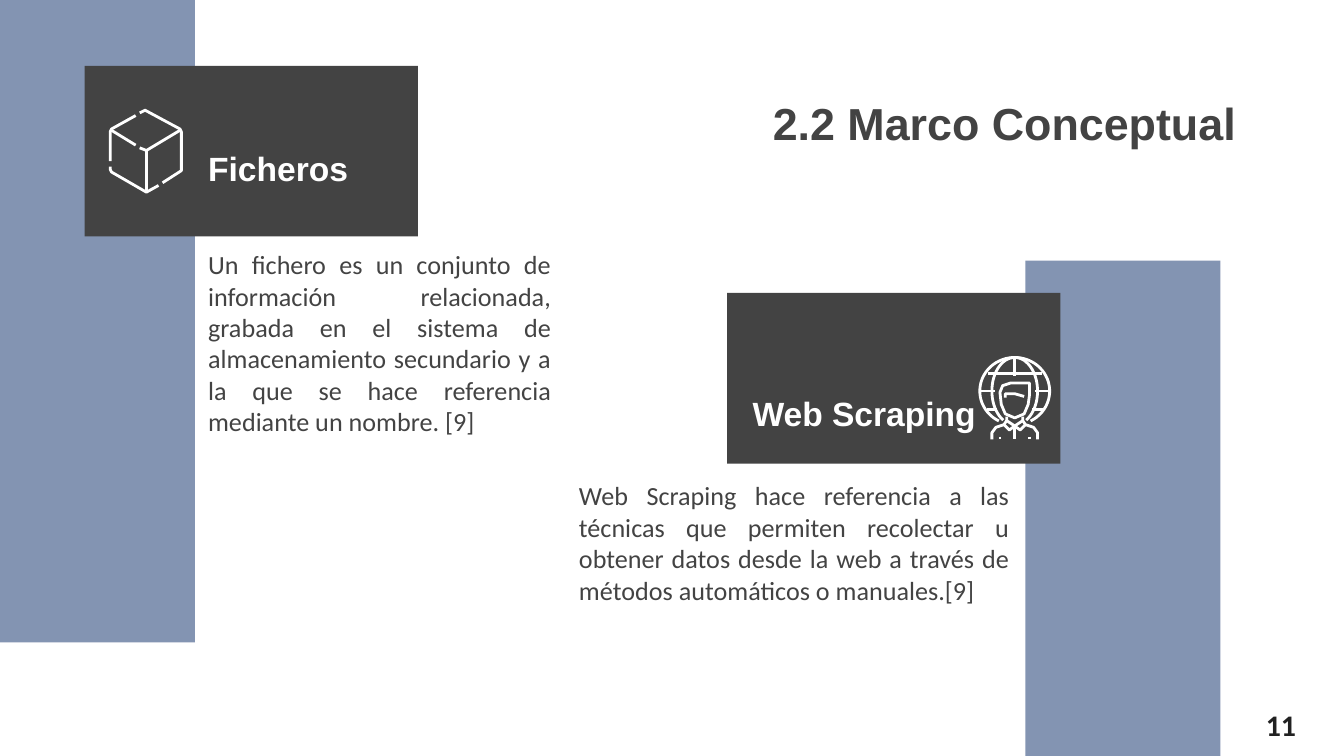
"""Build the "Marco Conceptual" slide with its two concept cards."""
import math
import pptx
import pptx.util
import pptx.dml.color
import pptx.enum.shapes
import pptx.enum.text
import pptx.oxml

Inch = pptx.util.Inches
Align = pptx.enum.text.PP_ALIGN
Anchor = pptx.enum.text.MSO_ANCHOR

THEME = {
    "bar": "556D96", "dark": "434343", "white": "FFFFFF", "page": "212121",
    "alpha": 73, "line": 1.5, "inset": 0.1,
    "title": {"name": "Arial", "size": 24, "bold": True},
    "head": {"name": "Arial", "size": 18, "bold": True},
    "body": {"name": "Calibri", "size": 14, "bold": False},
    "num": {"name": "Calibri", "size": 16, "bold": True},
}

WIDE = 10
TITLE = ("2.2 Marco Conceptual", (5.65, 0.65, 4.1, 0.53), "title", "dark", Align.LEFT, Anchor.MIDDLE)
BARS = [(7.63, 1.94, 1.45, 3.75), (0, 0, 1.45, 4.78)]
CARDS = [(5.41, 2.18, 2.48, 1.27), (0.63, 0.49, 2.48, 1.27)]
TEXTS = [
    ("Un fichero es un conjunto de información relacionada, grabada en el sistema de "
     "almacenamiento secundario y a la que se hace referencia mediante un nombre. [9]",
     (1.45, 1.75, 2.75, 1.22), "body", "dark", Align.JUSTIFY, Anchor.TOP),
    ("Web Scraping hace referencia a las técnicas que permiten recolectar u obtener "
     "datos desde la web a través de métodos automáticos o manuales.[9]",
     (4.21, 3.47, 3.4, 1.22), "body", "dark", Align.JUSTIFY, Anchor.TOP),
    ("Web Scraping", (5.34, 2.17, 2.02, 1.15), "head", "white", Align.RIGHT, Anchor.BOTTOM),
    ("Ficheros", (1.45, 1.08, 1.58, 0.42), "head", "white", Align.LEFT, Anchor.BOTTOM),
    ("11", (9.32, 5.16, 0.68, 0.31), "num", "page", Align.JUSTIFY, Anchor.TOP),
]

CUBE = [
    [(1.04, 0.84), (1.08, 0.82), (1.34, 0.96), (1.35, 0.98), (1.35, 1.27), (1.21, 1.36)],
    [(1.18, 1.38), (1.09, 1.43), (0.83, 1.28), (0.82, 1.26), (0.82, 1.24)],
    [(0.82, 1.2), (0.82, 0.98), (0.83, 0.96), (1.01, 0.86)],
    [(0.83, 0.97), (1.01, 1.08)],
    [(1.04, 1.1), (1.09, 1.12), (1.34, 0.97)],
    [(1.09, 1.12), (1.09, 1.42)],
]
MID = 7.55
GLOBE = [
    [(MID, 2.66), (MID, 2.8)],
    [(7.35, 2.78), (7.75, 2.78)],
    [(MID, 3.18), (MID, 3.27)],
    [(7.48, 2.96), (7.48, 2.93), (7.55, 2.93), (7.62, 2.95)],
    [(7.55, 3.11), (7.48, 3.08), (7.45, 3.01), (7.44, 2.92), (7.46, 2.87),
     (7.52, 2.85), (7.66, 2.85), (7.66, 2.94), (7.65, 3.01), (7.62, 3.08), (7.55, 3.11)],
]
HALF = [
    [(7.3, 2.91), (7.4, 2.91)],
    [(7.34, 3.05), (7.42, 3.05)],
    [(7.38, 3.27), (7.38, 3.22), (7.41, 3.18), (7.47, 3.16), (7.49, 3.13), (7.49, 3.1)],
    [(7.47, 3.16), (7.51, 3.2), (7.55, 3.17), (7.49, 3.13)],
    [(7.44, 3.25), (7.44, 3.27)],
]


def tint(name):
    return pptx.dml.color.RGBColor.from_string(THEME[name])


def apply(thing, vals):
    for key, val in vals.items():
        setattr(thing, key, val)


def place(shape, box):
    apply(shape, dict(zip(("left", "top", "width", "height"), map(Inch, box))))


def write(shape, item):
    text, box, font, color, align, anchor = item
    place(shape, box)
    frame = shape.text_frame
    sides = ("margin_left", "margin_top", "margin_right", "margin_bottom")
    apply(frame, {**dict.fromkeys(sides, Inch(THEME["inset"])), "text": text, "word_wrap": True,
                  "auto_size": pptx.enum.text.MSO_AUTO_SIZE.NONE, "vertical_anchor": anchor})
    para = frame.paragraphs[0]
    para.alignment = align
    run = para.runs[0]
    apply(run.font, {**THEME[font], "size": pptx.util.Pt(THEME[font]["size"])})
    run.font.color.rgb = tint(color)


def block(slide, box, color, alpha=None):
    kind = pptx.enum.shapes.MSO_SHAPE.RECTANGLE
    shape = slide.shapes.add_shape(kind, *map(Inch, box))
    shape.shadow.inherit = False
    shape.line.fill.background()
    shape.fill.solid()
    shape.fill.fore_color.rgb = tint(color)
    if alpha:
        node = shape.fill._xPr.find(".//" + pptx.oxml.ns.qn("a:srgbClr"))
        node.append(pptx.oxml.parse_xml(
            f'<a:alpha {pptx.oxml.ns.nsdecls("a")} val="{alpha * 1000}"/>'))


def arc(wide, high, start, end):
    turns = [math.radians(deg) for deg in range(start, end + 1, 6)]
    return [(MID + wide * math.cos(t), 2.91 + high * math.sin(t)) for t in turns]


def flip(stroke):
    return [(2 * MID - x, y) for x, y in stroke]


def icon(slide, strokes):
    paths = [[(Inch(x), Inch(y)) for x, y in stroke] for stroke in strokes]
    pen = slide.shapes.build_freeform(*paths[0][0])
    for step, path in enumerate(paths):
        if step:
            pen.move_to(*path[0])
        pen.add_line_segments(path[1:], close=False)
    shape = pen.convert_to_shape()
    shape.shadow.inherit = False
    shape.fill.background()
    shape.line.color.rgb = tint("white")
    shape.line.width = pptx.util.Pt(THEME["line"])


def main():
    deck = pptx.Presentation()
    apply(deck, {"slide_width": Inch(WIDE), "slide_height": Inch(WIDE * 9 / 16)})
    slide = deck.slides.add_slide(deck.slide_layouts[5])
    write(slide.shapes.title, TITLE)
    for bar, card in zip(BARS, CARDS):
        block(slide, bar, "bar", THEME["alpha"])
        block(slide, card, "dark")
    rings = [arc(0.26, 0.25, 117, 423), arc(0.17, 0.25, 120, 420)]
    icon(slide, CUBE)
    icon(slide, rings + GLOBE + HALF + [flip(stroke) for stroke in HALF])
    for item in TEXTS:
        write(slide.shapes.add_textbox(0, 0, 0, 0), item)
    deck.save("out.pptx")


if __name__ == "__main__":
    main()
